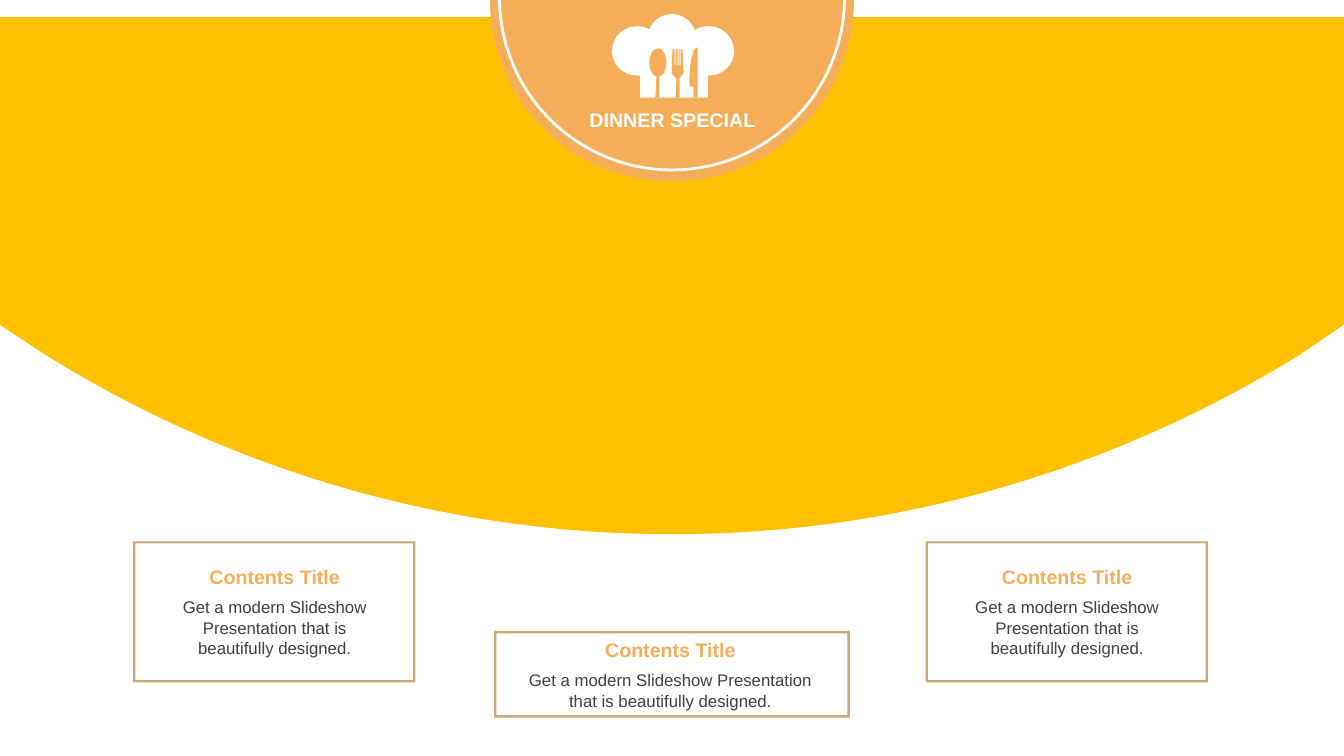
from dataclasses import dataclass

from lxml.etree import SubElement
from pptx import Presentation
from pptx.dml.color import RGBColor
from pptx.enum.shapes import MSO_SHAPE as Shape
from pptx.enum.text import MSO_ANCHOR as Anchor, PP_ALIGN as Align
from pptx.oxml.ns import qn
from pptx.util import Inches, Pt


@dataclass(frozen=True)
class Theme:
    """Colours, font and type sizes of the slide."""
    band: str = "FFC000"
    accent: str = "F4AE59"
    frame: str = "CDA874"
    body: str = "404040"
    white: str = "FFFFFF"
    font: str = "Arial"
    title_size: int = 14
    body_size: int = 12


THEME = Theme()
BODY = "Get a modern Slideshow Presentation that is beautifully designed."

BAND = [
    (0, 0), (13.35, 0), (13.35, 3.05), (12.91, 3.35),
    (11.1, 4.47, 8.97, 5.13, 6.69, 5.13),
    (4.4, 5.13, 2.27, 4.47, 0.47, 3.35), (0, 3.04),
]
HAT = [
    (0.6, 0), (0.7, 0, 0.79, 0.07, 0.82, 0.16),
    (0.86, 0.13, 0.91, 0.12, 0.96, 0.12), (1.1, 0.12, 1.21, 0.23, 1.21, 0.37),
    (1.21, 0.5, 1.1, 0.61, 0.96, 0.61), (0.95, 0.61), (0.95, 0.83),
    (0.28, 0.83), (0.28, 0.61), (0.25, 0.61),
    (0.11, 0.61, 0, 0.5, 0, 0.37), (0, 0.23, 0.11, 0.12, 0.25, 0.12),
    (0.29, 0.12, 0.33, 0.13, 0.37, 0.15), (0.41, 0.06, 0.49, 0, 0.6, 0),
]
SPOON = [
    (0.46, 0.34), (0.51, 0.34, 0.54, 0.42, 0.54, 0.48),
    (0.54, 0.53, 0.52, 0.59, 0.49, 0.61), (0.46, 0.62), (0.47, 0.62),
    (0.47, 0.83), (0.43, 0.83), (0.44, 0.62), (0.42, 0.61),
    (0.39, 0.59, 0.37, 0.54, 0.37, 0.48), (0.37, 0.41, 0.4, 0.34, 0.46, 0.34),
]
FORK_SLITS = [
    point for left in (0.62, 0.65, 0.67)
    for point in ((left, 0.35), (left, 0.51), (left + 0.01, 0.51), (left + 0.01, 0.35))
]
FORK = [
    (0.6, 0.35), *FORK_SLITS, (0.7, 0.35), (0.71, 0.58),
    (0.71, 0.59, 0.68, 0.62, 0.67, 0.64), (0.67, 0.83), (0.63, 0.83), (0.64, 0.64),
    (0.62, 0.62, 0.59, 0.59, 0.59, 0.58),
]
KNIFE = [
    (0.85, 0.33), (0.85, 0.83), (0.81, 0.83), (0.81, 0.72), (0.77, 0.72),
    (0.76, 0.55, 0.79, 0.33, 0.85, 0.33),
]


def paint(shape, color):
    """Give a shape a plain fill without line or shadow."""
    shape.shadow.inherit = False
    shape.fill.solid()
    shape.fill.fore_color.rgb = RGBColor.from_string(color)
    shape.line.fill.background()


def add_outline(canvas, left, top, contours, color):
    """Draw closed contours of lines and cubic curves as one freeform."""
    def place(x, y):
        return Inches(left + x), Inches(top + y)

    builder = canvas.shapes.build_freeform(*place(*contours[0][0]))
    for index, contour in enumerate(contours):
        if index:
            builder.move_to(*place(*contour[0]))
        builder.add_line_segments([place(*step[-2:]) for step in contour[1:]])
    shape = builder.convert_to_shape()
    segments = list(shape.element.iter(qn("a:lnTo")))
    steps = [step for contour in contours for step in contour[1:]]
    for segment, step in zip(segments, steps):
        if len(step) == 6:
            curve = SubElement(segment.getparent(), qn("a:cubicBezTo"))
            for control in (step[:2], step[2:4]):
                x, y = place(*control)
                SubElement(curve, qn("a:pt"), x=str(x - shape.left), y=str(y - shape.top))
            curve.append(segment[0])
            segment.getparent().replace(segment, curve)
    paint(shape, color)


def add_preset(canvas, kind, box, color, adjustments):
    """Draw a filled preset shape with its adjustments."""
    shape = canvas.shapes.add_shape(kind, *map(Inches, box))
    for index, value in enumerate(adjustments):
        shape.adjustments[index] = value
    paint(shape, color)


def add_text(canvas, box, text, size, color, bold=False, anchor=Anchor.TOP):
    """Add a centred one-paragraph text box."""
    frame = canvas.shapes.add_textbox(*map(Inches, box)).text_frame
    frame.word_wrap = True
    frame.vertical_anchor = anchor
    para = frame.paragraphs[0]
    para.alignment = Align.CENTER
    span = para.add_run()
    span.text = text
    span.font.name = THEME.font
    span.font.size = Pt(size)
    span.font.bold = bold
    span.font.color.rgb = RGBColor.from_string(color)


def add_badge(page, left, top, size):
    """Draw the half-round badge with its chef hat, label and ring."""
    degree = 0.6
    add_preset(page, Shape.CHORD, (left, top, size, size), THEME.accent,
               (359.65 * degree, 179.94 * degree))
    icon = page.shapes.add_group_shape()
    corner = (left + 1.21, top + 1.95)
    add_outline(icon, *corner, [HAT], THEME.white)
    add_outline(icon, *corner, [SPOON, FORK, KNIFE], THEME.accent)
    add_text(page, (left + 0.77, top + 2.83, 2.08, 0.34), "DINNER SPECIAL",
             THEME.title_size, THEME.white, True, Anchor.MIDDLE)
    ring = size - 0.16
    add_preset(page, Shape.BLOCK_ARC, (left + 0.08, top + 0.06, ring, ring),
               THEME.white, (0.63 * degree, 179.49 * degree, 0.008))


def add_card(page, box, margin, text_width, body_height, border):
    """Draw a framed card with title and body centred in its height."""
    left, top, _, height = box
    title_step = 0.32
    text_left = left + margin
    text_top = top + (height - title_step - body_height) / 2
    words = page.shapes.add_group_shape()
    add_text(words, (text_left, text_top + title_step, text_width, body_height), BODY,
             THEME.body_size, THEME.body)
    add_text(words, (text_left, text_top, text_width, 0.34), "Contents Title",
             THEME.title_size, THEME.accent, True)
    add_preset(page, Shape.FRAME, box, THEME.frame, (border,))


def main():
    """Build the slide and save the deck."""
    deck = Presentation()
    deck.slide_width, deck.slide_height = Inches(13.33), Inches(7.5)
    page = deck.slides.add_slide(deck.slide_layouts[6])
    add_outline(page, -0.02, 0.17, [BAND], THEME.band)
    add_badge(page, 4.86, -1.81, 3.61)
    for left in (1.32, 9.18):
        add_card(page, (left, 5.37, 2.8, 1.4), 0.27, 2.27, 0.71, 0.016)
    add_card(page, (4.9, 6.26, 3.53, 0.86), 0.13, 3.24, 0.5, 0.028)
    deck.save("out.pptx")


if __name__ == "__main__":
    main()
